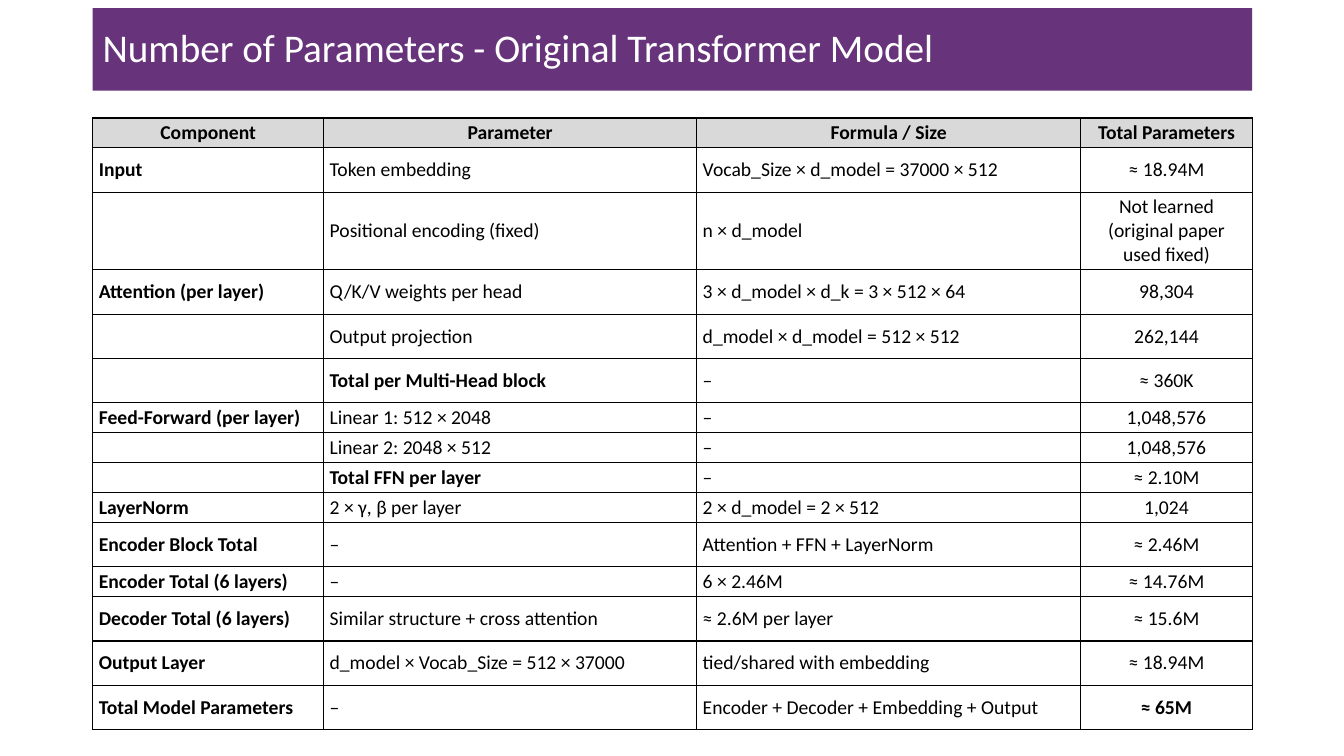
from lxml import etree
from pptx import Presentation
from pptx.dml.color import RGBColor
from pptx.enum.shapes import MSO_SHAPE
from pptx.enum.text import MSO_ANCHOR, PP_ALIGN
from pptx.oxml.ns import qn
from pptx.util import Inches, Pt

RECTANGLE = MSO_SHAPE.RECTANGLE
MIDDLE = MSO_ANCHOR.MIDDLE
LEFT, CENTER = PP_ALIGN.LEFT, PP_ALIGN.CENTER

FONT = "Calibri"
BLACK, WHITE, PURPLE, GREY = "000000", "FFFFFF", "67337A", "D9D9D9"
CONTENT_LEFT, CONTENT_WIDTH = 0.92, 11.5
COLUMN_WIDTHS = [2.29, 3.7, 3.81, 1.7]
SHORT_ROW, TALL_ROW = 0.25, 0.44
SHORT_ROWS = {0, 6, 7, 8, 9, 11}
TABLE_SIZE = 14

ROWS = [
    ["Component", "Parameter", "Formula / Size", "Total Parameters"],
    ["Input", "Token embedding", "Vocab_Size × d_model = 37000 × 512", "≈ 18.94M"],
    ["", "Positional encoding (fixed)", "n × d_model",
     "Not learned (original paper used fixed)"],
    ["Attention (per layer)", "Q/K/V weights per head",
     "3 × d_model × d_k = 3 × 512 × 64", "98,304"],
    ["", "Output projection", "d_model × d_model = 512 × 512", "262,144"],
    ["", "Total per Multi-Head block", "–", "≈ 360K"],
    ["Feed-Forward (per layer)", "Linear 1: 512 × 2048", "–", "1,048,576"],
    ["", "Linear 2: 2048 × 512", "–", "1,048,576"],
    ["", "Total FFN per layer", "–", "≈ 2.10M"],
    ["LayerNorm", "2 × γ, β per layer", "2 × d_model = 2 × 512", "1,024"],
    ["Encoder Block Total", "–", "Attention + FFN + LayerNorm", "≈ 2.46M"],
    ["Encoder Total (6 layers)", "–", "6 × 2.46M", "≈ 14.76M"],
    ["Decoder Total (6 layers)", "Similar structure + cross attention",
     "≈ 2.6M per layer", "≈ 15.6M"],
    ["Output Layer", "d_model × Vocab_Size = 512 × 37000",
     "tied/shared with embedding", "≈ 18.94M"],
    ["Total Model Parameters", "–", "Encoder + Decoder + Embedding + Output", "≈ 65M"],
]


def color(value):
    return RGBColor.from_string(value)


def write_text(frame, text, size=TABLE_SIZE, fill=BLACK, bold=False,
               align=LEFT, line_spacing=None):
    paragraph = frame.paragraphs[0]
    paragraph.alignment = align
    if line_spacing:
        paragraph.line_spacing = line_spacing
    if not text:
        # An empty cell still needs its text size, or the row grows
        end_format = etree.SubElement(paragraph._p, qn("a:endParaRPr"))
        end_format.set("sz", str(size * 100))
        return
    run = paragraph.add_run()
    run.text = text
    run.font.name = FONT
    run.font.size = Pt(size)
    run.font.bold = bold
    run.font.color.rgb = color(fill)


def add_title_bar(slide, text):
    shape = slide.shapes.add_shape(RECTANGLE, Inches(CONTENT_LEFT), Inches(0.08),
                                   Inches(CONTENT_WIDTH), Inches(0.82))
    shape.shadow.inherit = False
    shape.fill.solid()
    shape.fill.fore_color.rgb = color(PURPLE)
    shape.line.fill.background()
    shape.text_frame.word_wrap = True
    shape.text_frame.vertical_anchor = MIDDLE
    write_text(shape.text_frame, text, size=28, fill=WHITE, line_spacing=0.9)


def set_borders(cell, line_color, width):
    properties = cell._tc.get_or_add_tcPr()
    for index, side in enumerate(("a:lnL", "a:lnR", "a:lnT", "a:lnB")):
        line = etree.Element(qn(side), w=str(Pt(width)))
        fill = etree.SubElement(line, qn("a:solidFill"))
        etree.SubElement(fill, qn("a:srgbClr"), val=line_color)
        properties.insert(index, line)


def format_cell(cell, fill=None):
    cell.vertical_anchor = MIDDLE
    cell.margin_left = cell.margin_right = Inches(0.06)
    cell.margin_top = cell.margin_bottom = Inches(0.03)
    if fill:
        cell.fill.solid()
        cell.fill.fore_color.rgb = color(fill)
    else:
        cell.fill.background()
    set_borders(cell, BLACK, 1)


def is_bold(row, column, text):
    is_subtotal = column == 1 and text.startswith("Total")
    is_grand_total = row == len(ROWS) - 1 and column == 3
    return row == 0 or column == 0 or is_subtotal or is_grand_total


def add_parameter_table(slide):
    heights = [SHORT_ROW if row in SHORT_ROWS else TALL_ROW
               for row in range(len(ROWS))]
    table = slide.shapes.add_table(
        len(ROWS), len(COLUMN_WIDTHS), Inches(CONTENT_LEFT), Inches(1.17),
        Inches(CONTENT_WIDTH), Inches(sum(heights))).table
    table.horz_banding = False
    for column, width in zip(table.columns, COLUMN_WIDTHS):
        column.width = Inches(width)
    for row, texts in enumerate(ROWS):
        table.rows[row].height = Inches(heights[row])
        for column, text in enumerate(texts):
            cell = table.cell(row, column)
            format_cell(cell, fill=GREY if row == 0 else None)
            write_text(cell.text_frame, text, bold=is_bold(row, column, text),
                       align=CENTER if row == 0 or column == 3 else LEFT)


def main():
    presentation = Presentation()
    presentation.slide_width = Inches(13.33)
    presentation.slide_height = Inches(7.5)
    slide = presentation.slides.add_slide(presentation.slide_layouts[6])

    # Title bar
    add_title_bar(slide, "Number of Parameters - Original Transformer Model")
    # Parameter counts by component
    add_parameter_table(slide)

    presentation.save("out.pptx")


if __name__ == "__main__":
    main()
